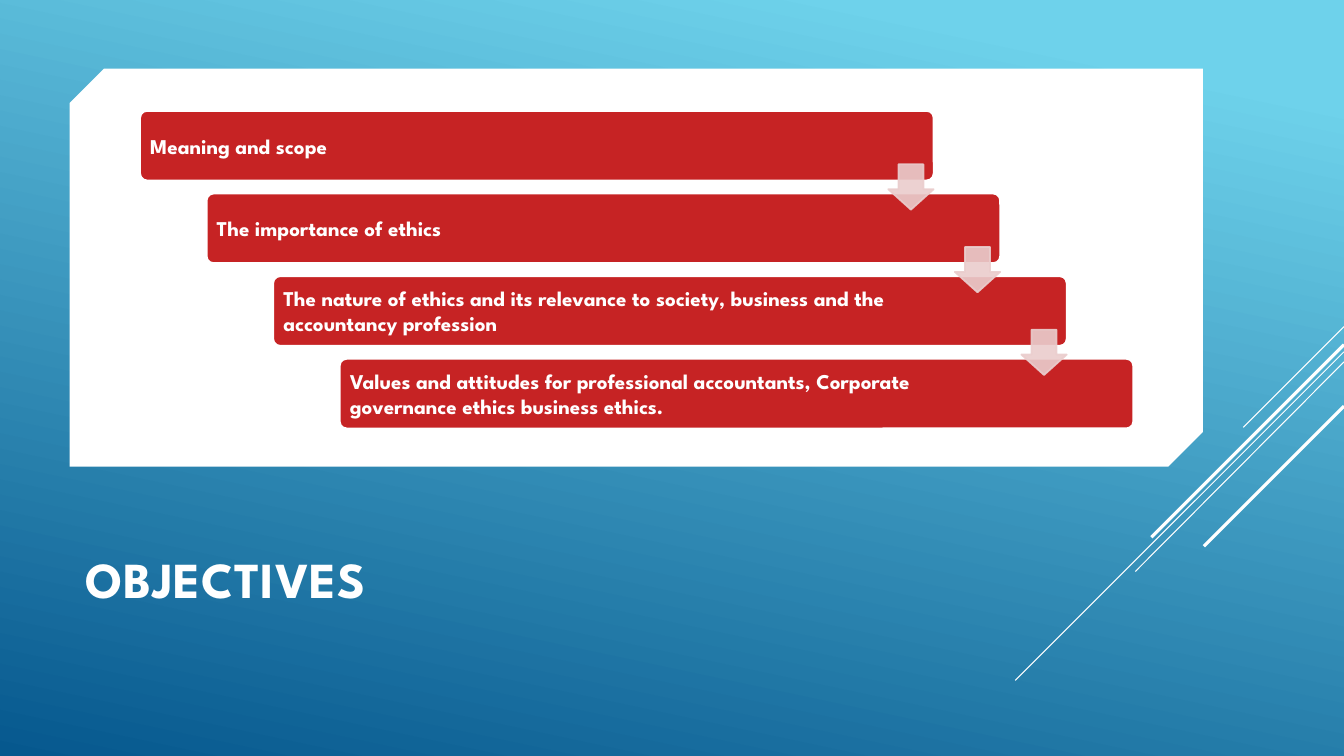
from dataclasses import dataclass

from lxml.etree import SubElement
from pptx import Presentation
from pptx.dml.color import RGBColor
from pptx.enum.shapes import MSO_CONNECTOR, MSO_SHAPE
from pptx.enum.text import MSO_ANCHOR, PP_ALIGN
from pptx.oxml.ns import qn
from pptx.util import Inches, Pt


@dataclass(frozen=True)
class Theme:
    font: str = "League Spartan"
    title_size: int = 36
    bar_size: int = 15
    white: RGBColor = RGBColor.from_string("FFFFFF")
    red: RGBColor = RGBColor.from_string("C62324")
    pink: RGBColor = RGBColor.from_string("EACDCD")
    sky: RGBColor = RGBColor.from_string("6ED2EB")
    navy: RGBColor = RGBColor.from_string("06588E")


theme = Theme()


def add_box(kind, x, y, w, h, adjustments, fill, line=None):
    sp = slide.shapes.add_shape(kind, Inches(x), Inches(y), Inches(w), Inches(h))
    sp.shadow.inherit = False
    for i, value in enumerate(adjustments):
        sp.adjustments[i] = value
    sp.fill.solid()
    sp.fill.fore_color.rgb = fill
    if line is None:
        sp.line.fill.background()
    else:
        sp.line.color.rgb = line
        sp.line.width = Pt(1.25)
    return sp


def write(sp, text, size, left=0.1, right=0.1, top=0.05, bottom=0.05, spacing=0):
    """Set bold white left-aligned text, vertically centred; spacing is in points."""
    tf = sp.text_frame
    tf.word_wrap = True
    tf.vertical_anchor = MSO_ANCHOR.MIDDLE
    tf.margin_left, tf.margin_right = Inches(left), Inches(right)
    tf.margin_top, tf.margin_bottom = Inches(top), Inches(bottom)
    p = tf.paragraphs[0]
    p.alignment = PP_ALIGN.LEFT
    r = p.add_run()
    r.text = text
    r.font.name = theme.font
    r.font.size = Pt(size)
    r.font.bold = True
    r.font.color.rgb = theme.white
    if spacing:
        r.font._element.set("spc", str(int(spacing * 100)))


prs = Presentation()
prs.slide_width, prs.slide_height = Inches(13.33), Inches(7.5)
slide = prs.slides.add_slide(prs.slide_layouts[5])

# Background gradient, light at the top right
background = slide.background.fill
background.gradient()
background.gradient_angle = 258
for stop, position, color in zip(background.gradient_stops, (0.1, 1), (theme.sky, theme.navy)):
    stop.position = position
    stop.color.rgb = color

# Title
title = slide.shapes.title
title.left, title.top = Inches(0.75), Inches(4.91)
title.width, title.height = Inches(9.33), Inches(1.65)
write(title, "OBJECTIVES", theme.title_size, spacing=0.5)

# White panel
add_box(MSO_SHAPE.SNIP_2_DIAG_RECTANGLE, 0.69, 0.68, 11.24, 3.95, (0.087, 0), theme.white)

# Diagonal lines running in from the right edge: start y, end x, end y, weight
for y1, x2, y2, weight in (
    (3.24, 12.33, 4.24, 0.75),
    (3.49, 10.07, 6.75, 0.75),
    (3.59, 11.26, 5.67, 0.75),
    (3.42, 11.42, 5.33, 2.25),
    (4.03, 11.94, 5.42, 2.25),
):
    line = slide.shapes.add_connector(
        MSO_CONNECTOR.STRAIGHT, prs.slide_width, Inches(y1), Inches(x2), Inches(y2))
    line.line.color.rgb = theme.white
    line.line.width = Pt(weight)
    SubElement(line._element.spPr, qn("a:effectLst"))

# Staircase of objectives
objectives = (
    "Meaning and scope",
    "The importance of ethics",
    "The nature of ethics and its relevance to society, business and the accountancy profession",
    "Values and attitudes for professional accountants, Corporate governance ethics business ethics.",
)
steps = [(1.39 + 0.66 * i, 1.1 + 0.82 * i) for i in range(len(objectives))]
for (x, y), text in zip(steps, objectives):
    bar = add_box(MSO_SHAPE.ROUNDED_RECTANGLE, x, y, 7.87, 0.69, (0.1,), theme.red, theme.white)
    write(bar, text, theme.bar_size, left=0.08, right=1.19)

# Translucent arrows from each bar to the next
for x, y in steps[:-1]:
    arrow = add_box(MSO_SHAPE.DOWN_ARROW, x + 7.42, y + 0.53, 0.45, 0.45, (0.55, 0.45),
                    theme.pink, theme.pink)
    for color in arrow._element.spPr.iter(qn("a:srgbClr")):
        SubElement(color, qn("a:alpha"), val="90000")

prs.save("out.pptx")
